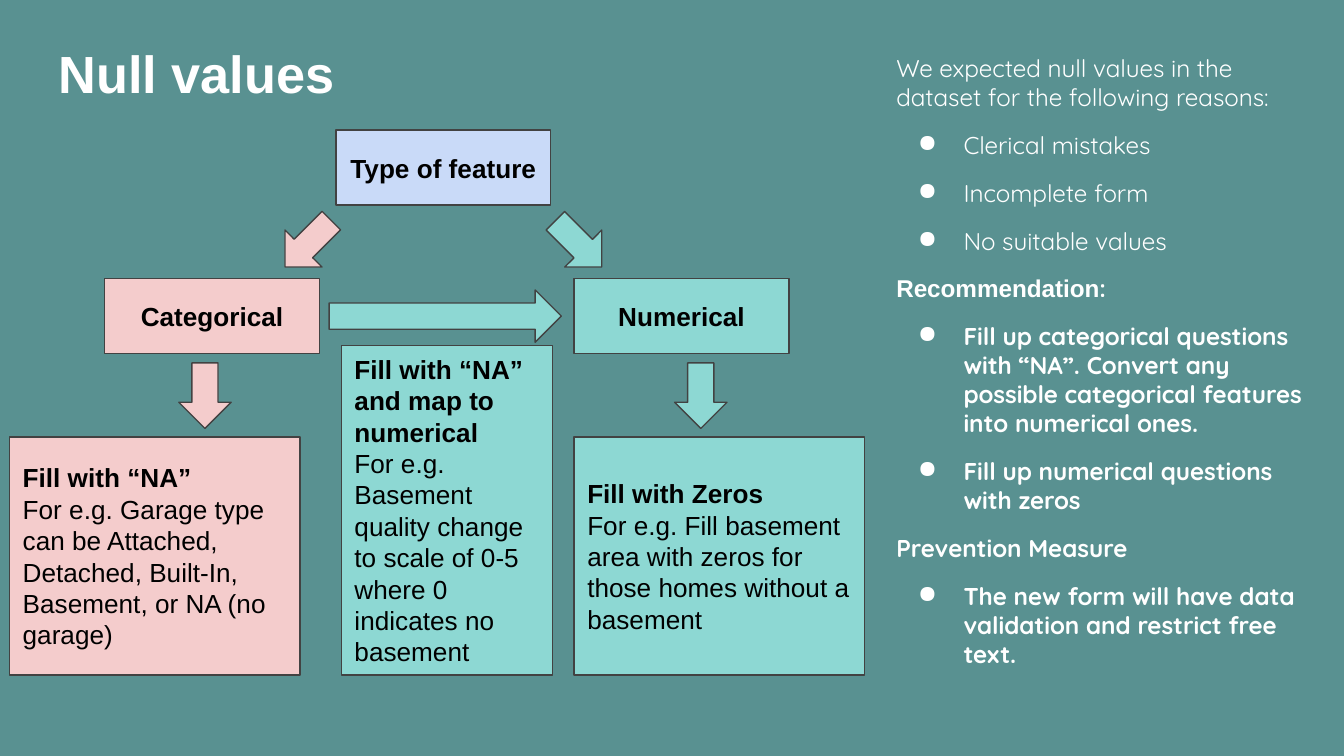
import dataclasses

import pptx
import pptx.dml.color
import pptx.enum.shapes
import pptx.enum.text
import pptx.oxml.ns
import pptx.util
from lxml import etree

Cm = pptx.util.Cm
Pt = pptx.util.Pt
RGB = pptx.dml.color.RGBColor.from_string
Shape = pptx.enum.shapes.MSO_SHAPE
Align = pptx.enum.text.PP_ALIGN
Anchor = pptx.enum.text.MSO_ANCHOR


@dataclasses.dataclass(frozen=True)
class Theme:
    back: str = "599191"
    light: str = "FFFFFF"
    dark: str = "000000"
    edge: str = "424242"
    blue: str = "C9DAF8"
    pink: str = "F4CCCC"
    teal: str = "8DD8D3"
    sans: str = "Arial"
    round: str = "Quicksand"
    head: float = 28
    node: float = 14
    body: float = 13
    pitch: float = 1.2


THEME = Theme()


def apply(item, values):
    for name, value in values.items():
        setattr(item, name, value)


def set_frame(frame, anchor):
    pad = Cm(0.25)
    apply(frame, {
        "word_wrap": True, "vertical_anchor": anchor,
        "margin_left": pad, "margin_right": pad,
        "margin_top": pad, "margin_bottom": pad,
    })


def add_line(frame, first, runs, size, color, **format):
    line = frame.paragraphs[0] if first else frame.add_paragraph()
    apply(line, {"line_spacing": Pt(THEME.pitch * size), **format})
    for text, font, bold in runs:
        run = line.add_run()
        run.text = text
        apply(run.font, {"name": font, "size": Pt(size), "bold": bold})
        run.font.color.rgb = RGB(color)
    return line


def add_bullet(line):
    props = line._p.get_or_add_pPr()
    props.set("marL", str(Cm(1.27)))
    props.set("indent", str(Cm(-0.86)))
    qn = pptx.oxml.ns.qn
    color = etree.SubElement(props, qn("a:buClr"))
    etree.SubElement(color, qn("a:srgbClr")).set("val", THEME.light)
    etree.SubElement(props, qn("a:buChar")).set("char", "●")


def add_form(slide, kind, box, fill):
    form = slide.shapes.add_shape(kind, *map(Cm, box))
    form.shadow.inherit = False
    form.fill.solid()
    form.fill.fore_color.rgb = RGB(fill)
    form.line.color.rgb = RGB(THEME.edge)
    form.line.width = Pt(0.75)
    return form


def add_node(slide, box, fill, title, note=None):
    frame = add_form(slide, Shape.RECTANGLE, box, fill).text_frame
    set_frame(frame, Anchor.MIDDLE)
    align = Align.LEFT if note else Align.CENTER
    for row, text in enumerate(filter(None, (title, note))):
        add_line(frame, row == 0, [(text, THEME.sans, row == 0)],
                 THEME.node, THEME.dark, alignment=align)


def add_text(slide, box):
    frame = slide.shapes.add_textbox(*map(Cm, box)).text_frame
    set_frame(frame, Anchor.TOP)
    return frame


def draw_title(slide, box):
    add_line(add_text(slide, box), True, [("Null values", THEME.sans, True)],
             THEME.head, THEME.light)


def draw_flow(slide, box):
    left, top, width, height = box
    wide, tall = 4.06, 1.42
    leaf, deep = 5.49, 4.5
    mid = top + 2.8
    base = top + height - deep
    right = left + width - leaf

    arrows = [
        (7.74, 1.32, 4.39, 270, THEME.teal),
        (10.26, 1.53, 1.24, 315, THEME.teal),
        (5.15, 1.53, 1.24, 45, THEME.pink),
        (3.2, 4.4, 1.24, 0, THEME.pink),
        (12.57, 4.4, 1.24, 0, THEME.teal),
    ]
    for x, y, length, turn, fill in arrows:
        place = (left + x, top + y, 0.99, length)
        add_form(slide, Shape.DOWN_ARROW, place, fill).rotation = turn

    nodes = [
        ((left + 6.17, top, wide, tall), THEME.blue, "Type of feature"),
        ((left + 1.8, mid, wide, tall), THEME.pink, "Categorical"),
        ((right, mid, wide, tall), THEME.teal, "Numerical"),
        ((left, base, leaf, deep), THEME.pink, "Fill with “NA”",
         "For e.g. Garage type can be Attached, Detached, Built-In, "
         "Basement, or NA (no garage)"),
        ((left + 6.27, top + 4.07, 3.99, height - 4.07), THEME.teal,
         "Fill with “NA” and map to numerical",
         "For e.g. Basement quality change to scale of 0-5 where 0 "
         "indicates no basement"),
        ((right, base, leaf, deep), THEME.teal, "Fill with Zeros",
         "For e.g. Fill basement area with zeros for those homes "
         "without a basement"),
    ]
    for node in nodes:
        add_node(slide, *node)


def draw_notes(slide, box):
    frame = add_text(slide, box)
    font = THEME.round
    groups = [
        ([("We expected null values in the dataset for the following "
           "reasons:", font, False)], False,
         ["Clerical mistakes", "Incomplete form", "No suitable values"]),
        ([("Recommendation", THEME.sans, True), (":", font, True)], True,
         ["Fill up categorical questions with “NA”. Convert any possible "
          "categorical features into numerical ones.",
          "Fill up numerical questions with zeros"]),
        ([("Prevention Measure", font, True)], True,
         ["The new form will have data validation and restrict free text."]),
    ]
    for row, (lead, bold, points) in enumerate(groups):
        add_line(frame, row == 0, lead, THEME.body, THEME.light,
                 space_before=Pt(10 if row else 0))
        for point in points:
            add_bullet(add_line(frame, False, [(point, font, bold)],
                                THEME.body, THEME.light, space_before=Pt(10)))


def main():
    deck = pptx.Presentation()
    apply(deck, {"slide_width": Cm(25.4), "slide_height": Cm(14.29)})
    slide = deck.slides.add_slide(deck.slide_layouts[6])
    slide.background.fill.solid()
    slide.background.fill.fore_color.rgb = RGB(THEME.back)
    draw_title(slide, (0.86, 0.53, 19.53, 2.16))
    draw_notes(slide, (16.69, 0.76, 8.51, 11.71))
    draw_flow(slide, (0.18, 2.46, 16.16, 10.3))
    deck.save("out.pptx")


if __name__ == "__main__":
    main()
